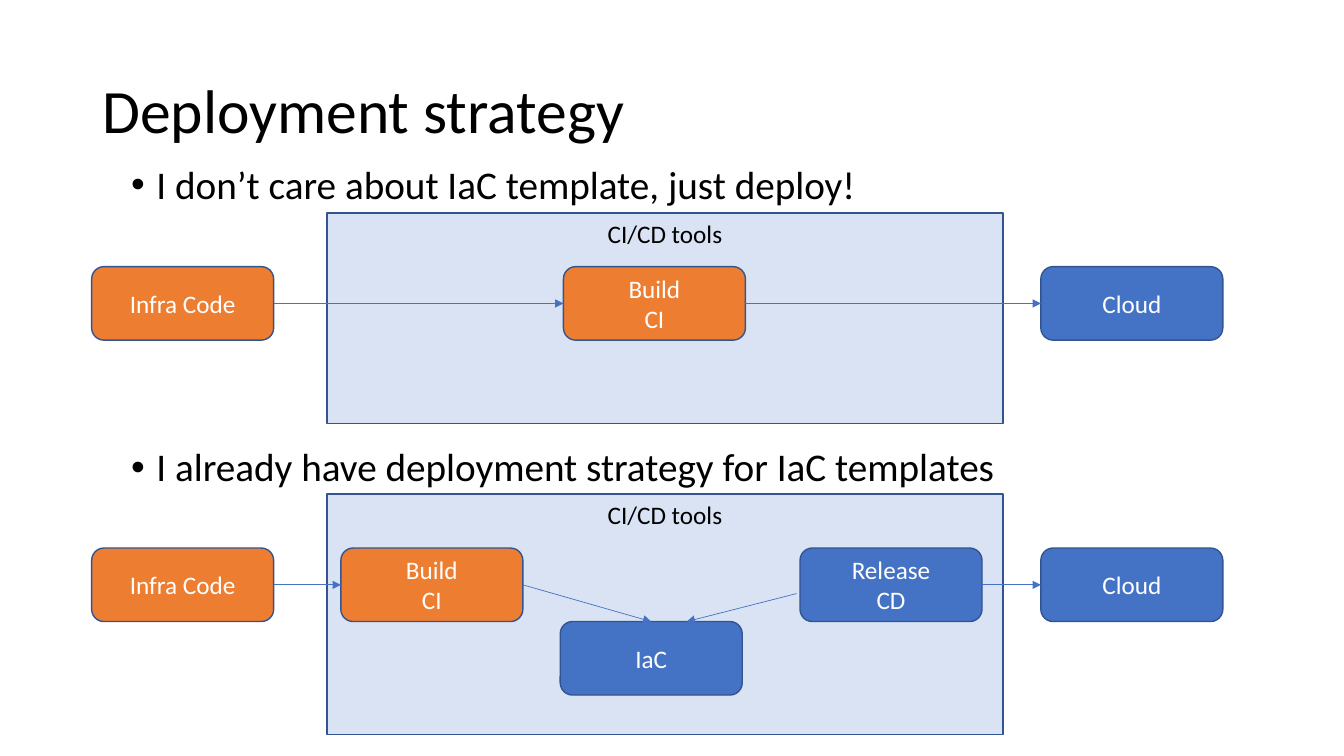
from lxml import etree
from pptx import Presentation
from pptx import util as u
from pptx.dml.color import RGBColor
from pptx.enum import shapes, text
from pptx.oxml import ns

BLACK = RGBColor(0x00, 0x00, 0x00)
WHITE = RGBColor(0xFF, 0xFF, 0xFF)
ORANGE = RGBColor(0xED, 0x7D, 0x31)
BLUE = RGBColor(0x44, 0x72, 0xC4)
PALE = RGBColor(0xDA, 0xE3, 0xF3)
NAVY = RGBColor(0x32, 0x54, 0x91)
FONT = "Calibri"
BOX_W, BOX_H = 130, 52.5
TOP, LEFT, RIGHT = 0, 1, 3  # connection sites of a box

prs = Presentation()
prs.slide_width, prs.slide_height = u.Pt(960), u.Pt(540)
s = prs.slides.add_slide(prs.slide_layouts[1])


def write(p, words, size, color, align=text.PP_ALIGN.LEFT):
    """Add one formatted run to a paragraph."""
    p.alignment = align
    r = p.add_run()
    r.text = words
    r.font.name, r.font.size = FONT, u.Pt(size)
    r.font.color.rgb = color


def add_block(kind, x, y, w, h, fill, lines, color, anchor):
    """Add an outlined shape with centred lines of text."""
    sp = s.shapes.add_shape(kind, u.Pt(x), u.Pt(y), u.Pt(w), u.Pt(h))
    sp.shadow.inherit = False
    sp.fill.solid()
    sp.fill.fore_color.rgb = fill
    sp.line.color.rgb, sp.line.width = NAVY, u.Pt(1)
    tf = sp.text_frame
    tf.vertical_anchor = anchor
    for i, words in enumerate(lines):
        p = tf.add_paragraph() if i else tf.paragraphs[0]
        write(p, words, 18, color, text.PP_ALIGN.CENTER)
    return sp


# Title and the two strategies
title, body = s.shapes.title, s.placeholders[1]
for sp, (x, y, w, h), anchor in (
    (title, (66, 29, 828, 104.5), text.MSO_ANCHOR.MIDDLE),
    (body, (86.5, 114.5, 808, 425.5), text.MSO_ANCHOR.TOP),
):
    sp.left, sp.top, sp.width, sp.height = u.Pt(x), u.Pt(y), u.Pt(w), u.Pt(h)
    sp.text_frame.auto_size = text.MSO_AUTO_SIZE.NONE
    sp.text_frame.vertical_anchor = anchor

p = title.text_frame.paragraphs[0]
p.line_spacing = 0.9
write(p, "Deployment strategy", 44, BLACK)

tf = body.text_frame
strategies = (
    ("I don\u2019t care about IaC template, just deploy!", 10),
    ("I already have deployment strategy for IaC templates", 171.5),
)
for i, (words, gap) in enumerate(strategies):
    p = tf.add_paragraph() if i else tf.paragraphs[0]
    p.line_spacing, p.space_before = 0.9, u.Pt(gap)
    pPr = p._p.get_or_add_pPr()
    pPr.set("marL", str(u.Pt(18)))
    pPr.set("indent", str(u.Pt(-18)))
    write(p, words, 28, BLACK)

# Tool panels
for y, h in ((152.2, 150.5), (353, 171.5)):
    add_block(shapes.MSO_SHAPE.RECTANGLE, 233.5, y, 483, h, PALE,
              ["CI/CD tools"], BLACK, text.MSO_ANCHOR.TOP)

# Pipeline steps
ROW_1, ROW_2 = 190.5, 391.5
steps = {
    "code 1": (65.5, ROW_1, ORANGE, ["Infra Code"]),
    "build 1": (402.5, ROW_1, ORANGE, ["Build", "CI"]),
    "cloud 1": (743.5, ROW_1, BLUE, ["Cloud"]),
    "code 2": (65.5, ROW_2, ORANGE, ["Infra Code"]),
    "build 2": (243.5, ROW_2, ORANGE, ["Build", "CI"]),
    "template": (400.2, ROW_2 + BOX_H, BLUE, ["IaC"]),
    "release": (571.5, ROW_2, BLUE, ["Release", "CD"]),
    "cloud 2": (743.5, ROW_2, BLUE, ["Cloud"]),
}
boxes = {}
for name, (x, y, fill, lines) in steps.items():
    boxes[name] = add_block(shapes.MSO_SHAPE.ROUNDED_RECTANGLE, x, y, BOX_W, BOX_H,
                            fill, lines, WHITE, text.MSO_ANCHOR.MIDDLE)

# Arrows: five are glued to boxes, the one from Release to the template runs free
arrows = []
for start, end, site in (
    ("code 1", "build 1", LEFT),
    ("build 1", "cloud 1", LEFT),
    ("code 2", "build 2", LEFT),
    ("build 2", "template", TOP),
    ("release", "cloud 2", LEFT),
):
    arrow = s.shapes.add_connector(shapes.MSO_CONNECTOR.STRAIGHT, 0, 0, 0, 0)
    arrow.begin_connect(boxes[start], RIGHT)
    arrow.end_connect(boxes[end], site)
    arrows.append(arrow)
arrows.append(s.shapes.add_connector(
    shapes.MSO_CONNECTOR.STRAIGHT, u.Pt(569), u.Pt(424), u.Pt(490.5), u.Pt(444)))

for arrow in arrows:
    arrow.line.color.rgb, arrow.line.width = BLUE, u.Pt(0.5)
    etree.SubElement(arrow.line._get_or_add_ln(), ns.qn("a:tailEnd"), type="triangle")
    etree.SubElement(arrow._element.spPr, ns.qn("a:effectLst"))

prs.save("out.pptx")
